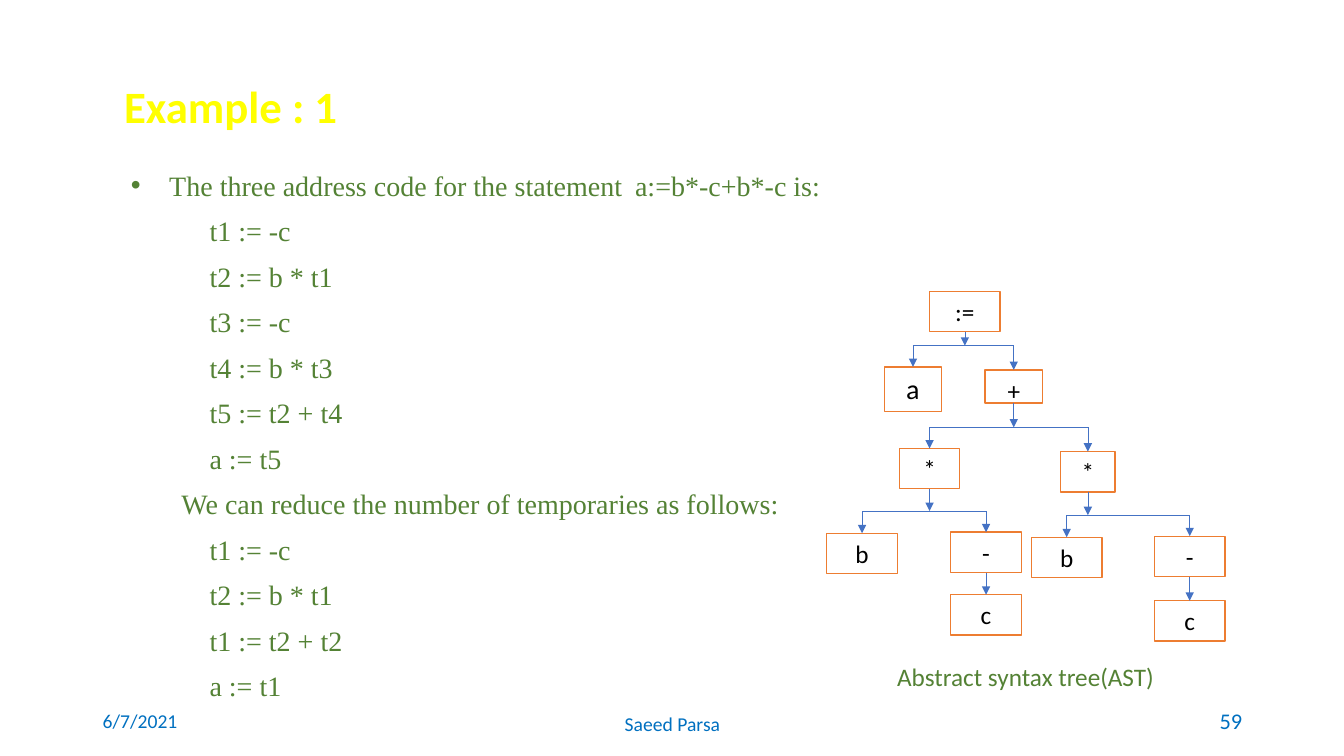
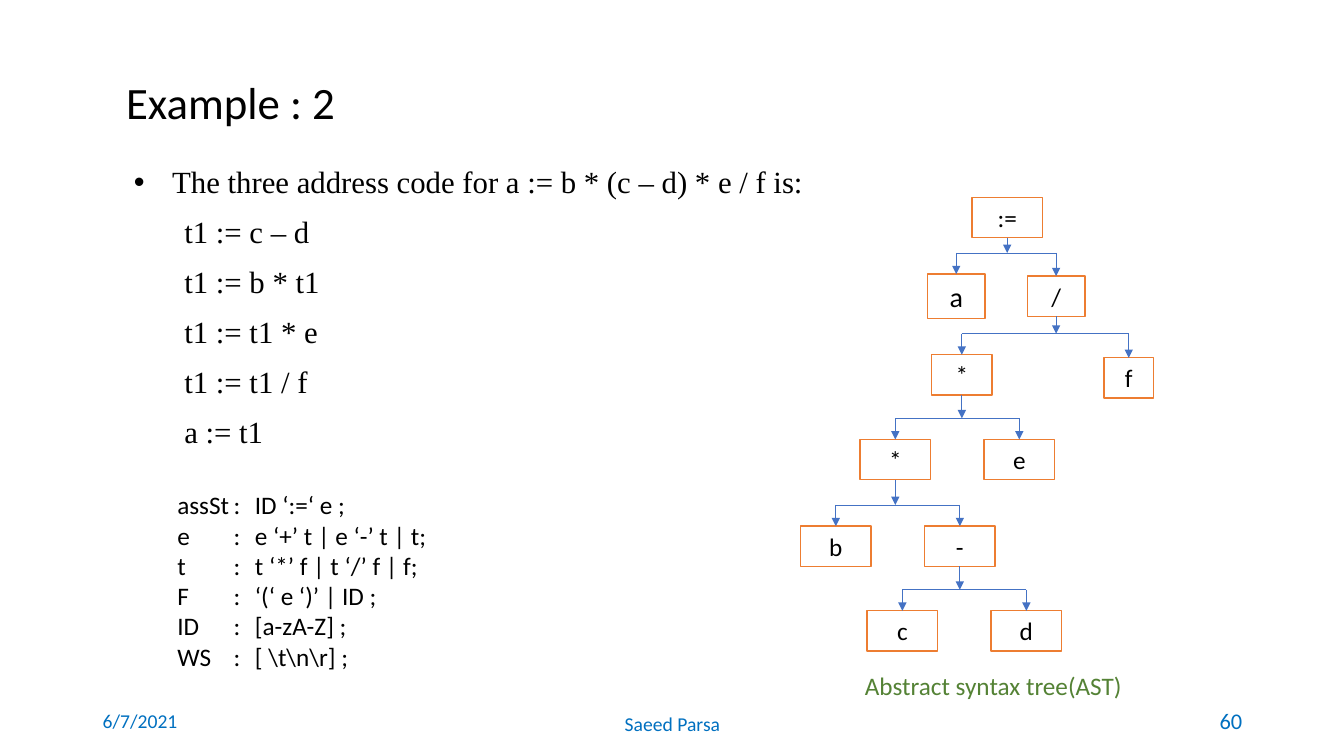
"""Build two slides on three address code with their syntax trees."""
from dataclasses import dataclass

from lxml.etree import SubElement
from pptx import Presentation
from pptx.dml.color import RGBColor
from pptx.enum.shapes import MSO_CONNECTOR, MSO_SHAPE
from pptx.enum.text import MSO_ANCHOR, MSO_AUTO_SIZE, PP_ALIGN
from pptx.oxml.ns import qn
from pptx.util import Inches, Pt


@dataclass(frozen=True)
class Theme:
    font: str = "Calibri"
    code_font: str = "Times New Roman"
    black: str = "000000"
    white: str = "FFFFFF"
    green: str = "548235"
    yellow: str = "FFFF00"
    lime: str = "92D050"
    blue: str = "0070C0"
    edge: str = "4472C4"
    border: str = "ED7D31"
    title: int = 32
    text: int = 18
    leaf: int = 20
    footer: int = 14
    number: int = 16


@dataclass(frozen=True)
class Node:
    text: str
    left: float
    top: float
    children: tuple = ()
    width: float = 0.7
    height: float = 0.4
    size: int = Theme.text


T = Theme()
BAR_RISE = 0.21
BULLET, STATEMENT, REMARK = (0.38, -0.38), (0.78, 0), (0.5, 0)

TREE_1 = Node(":=", 9.22, 2.89, (
    Node("a", 8.77, 3.64, width=0.57, height=0.44, size=T.leaf),
    Node("+", 9.77, 3.67, (
        Node("*", 8.92, 4.45, (
            Node("b", 8.2, 5.29),
            Node("-", 9.43, 5.28, (Node("c", 9.43, 5.9),)),
        ), width=0.6),
        Node("*", 10.52, 4.48, (
            Node("b", 10.23, 5.33),
            Node("-", 11.45, 5.32, (Node("c", 11.45, 5.96),)),
        ), width=0.54),
    ), width=0.57, height=0.33),
))

TREE_2 = Node(":=", 9.64, 1.96, (
    Node("a", 9.2, 2.72, width=0.57, height=0.44, size=T.leaf),
    Node("/", 10.19, 2.74, (
        Node("*", 9.24, 3.52, (
            Node("*", 8.53, 4.36, (
                Node("b", 7.94, 5.22),
                Node("-", 9.17, 5.22, (
                    Node("c", 8.6, 6.06),
                    Node("d", 9.83, 6.06),
                )),
            )),
            Node("e", 9.76, 4.36),
        ), width=0.6),
        Node("f", 10.95, 3.55, width=0.49),
    ), width=0.57),
))

GRAMMAR = [
    "assSt\t:\tID ‘:=‘ e ;",
    "e\t:\te ‘+’ t | e ‘-’ t | t;",
    "t\t:\tt ‘*’ f | t ‘/’ f | f;",
    "F\t:\t‘(‘ e ‘)’ | ID ;",
    "ID\t:\t[a-zA-Z] ;",
    "WS\t:\t[ \\t\\n\\r] ;",
]

SLIDES = [
    {
        "title": "Example : 1", "title_at": (1.13, 0.79, 9.44, 0.58),
        "title_format": {"color": T.yellow, "bold": True, "outline": T.lime},
        "body_at": (1.2, 1.52, 7.15, 5.31),
        "body_format": {"size": 20, "color": T.green},
        "body": [
            ("The three address code for the statement \ta:=b*-c+b*-c is:", BULLET),
            ("t1 := -c", STATEMENT),
            ("t2 := b * t1", STATEMENT),
            ("t3 := -c", STATEMENT),
            ("t4 := b * t3", STATEMENT),
            ("t5 := t2 + t4", STATEMENT),
            ("a := t5", STATEMENT),
            ("We can reduce the number of temporaries as follows:", REMARK),
            ("t1 := -c", STATEMENT),
            ("t2 := b * t1", STATEMENT),
            ("t1 := t2 + t2", STATEMENT),
            ("a := t1", STATEMENT),
        ],
        "tree": TREE_1, "caption_at": (8.8, 6.51, 3.07, 0.4), "number": "59",
    },
    {
        "title": "Example : 2", "title_at": (1.15, 0.75, 9.44, 0.58),
        "title_format": {},
        "body_at": (1.23, 1.46, 6.83, 3.42),
        "body_format": {"size": 22},
        "body": [
            ("The three address code for a := b * (c – d) * e / f is:", BULLET),
            ("t1 := c – d", REMARK),
            ("t1 := b * t1", REMARK),
            ("t1 := t1 * e", REMARK),
            ("t1 := t1 / f", REMARK),
            ("a := t1", REMARK),
        ],
        "tree": TREE_2, "caption_at": (8.48, 6.6, 3.07, 0.4), "number": "60",
        "grammar_at": (1.66, 4.81, 3.62, 1.92),
    },
]


def rgb(color):
    """Return a colour object for a hex string."""
    return RGBColor.from_string(color)


def write(sp, lines, size=T.text, color=T.black, font=T.font, bold=False,
          align=PP_ALIGN.LEFT, anchor=MSO_ANCHOR.TOP, spacing=None, before=0,
          tabs=(), outline=None):
    """Fill a shape with lines, each a string or a (string, indent) pair."""
    tf = sp.text_frame
    tf.word_wrap = True
    tf.auto_size = MSO_AUTO_SIZE.NONE
    tf.vertical_anchor = anchor
    for i, line in enumerate(lines):
        text, indent = line if isinstance(line, tuple) else (line, None)
        p = tf.paragraphs[0] if i == 0 else tf.add_paragraph()
        p.alignment = align
        if spacing:
            p.line_spacing = spacing
        if before and i:
            p.space_before = Pt(before)
        pPr = p._p.get_or_add_pPr()
        if indent:
            pPr.set("marL", str(Inches(indent[0])))
            pPr.set("indent", str(Inches(indent[1])))
        if indent == BULLET:
            SubElement(pPr, qn("a:buFont"), typeface="Arial")
            SubElement(pPr, qn("a:buChar"), char="•")
        if tabs:
            stops = SubElement(pPr, qn("a:tabLst"))
            for stop in tabs:
                SubElement(stops, qn("a:tab"), pos=str(Inches(stop)), algn="l")
        r = p.add_run()
        r.text = text
        r.font.size, r.font.name, r.font.bold = Pt(size), font, bold
        r.font.color.rgb = rgb(color)
        if outline:
            rPr = r._r.get_or_add_rPr()
            ln = SubElement(rPr, qn("a:ln"), w=str(Pt(1.75)))
            fill = SubElement(ln, qn("a:solidFill"))
            SubElement(fill, qn("a:srgbClr"), val=outline)
            rPr.insert(0, ln)


def add_text(s, at, lines, **fmt):
    """Add a text box."""
    write(s.shapes.add_textbox(*map(Inches, at)), lines, **fmt)


def add_line(s, start, end, begin=None, finish=None, arrow=True):
    """Add a line, joined to the bottom of begin and the top of finish."""
    line = s.shapes.add_connector(MSO_CONNECTOR.STRAIGHT, *start, *end)
    if begin is not None:
        line.begin_connect(begin, 2)
    if finish is not None:
        line.end_connect(finish, 0)
    line.line.color.rgb = rgb(T.edge)
    line.line.width = Pt(0.5)
    if arrow:
        SubElement(line.line._get_or_add_ln(), qn("a:tailEnd"), type="triangle")
    SubElement(line._element.spPr, qn("a:effectLst"))


def top_middle(sp):
    """Return the middle of a shape's top side."""
    return sp.left + sp.width // 2, sp.top


def draw_tree(s, node):
    """Draw a node, its subtrees and the arrows between them."""
    sp = s.shapes.add_shape(MSO_SHAPE.RECTANGLE, *map(
        Inches, (node.left, node.top, node.width, node.height)))
    sp.shadow.inherit = False
    sp.fill.solid()
    sp.fill.fore_color.rgb = rgb(T.white)
    sp.line.color.rgb = rgb(T.border)
    sp.line.width = Pt(1)
    write(sp, [node.text], size=node.size, align=PP_ALIGN.CENTER)

    kids = [draw_tree(s, child) for child in node.children]
    x, y = top_middle(sp)
    bottom = (x, y + sp.height)
    if len(kids) == 1:
        add_line(s, bottom, top_middle(kids[0]), sp, kids[0])
    elif kids:
        bar = min(kid.top for kid in kids) - Inches(BAR_RISE)
        ends = [top_middle(kid)[0] for kid in kids]
        add_line(s, bottom, (x, bar), begin=sp)
        add_line(s, (ends[0], bar), (ends[-1], bar), arrow=False)
        for kid, end in zip(kids, ends):
            add_line(s, (end, bar), top_middle(kid), finish=kid)
    return sp


def add_footer(s, number):
    """Add the date, author and slide number."""
    for text, at, align, size in (
        ("6/7/2021", (0.92, 6.95, 3, 0.4), PP_ALIGN.LEFT, T.footer),
        ("Saeed Parsa", (3.92, 6.95, 5.5, 0.45), PP_ALIGN.CENTER, T.footer),
        (number, (9.42, 6.95, 3, 0.4), PP_ALIGN.RIGHT, T.number),
    ):
        add_text(s, at, [text], size=size, color=T.blue, align=align,
                 anchor=MSO_ANCHOR.MIDDLE)


def add_slide(prs, data):
    """Build one example slide."""
    s = prs.slides.add_slide(prs.slide_layouts[5])
    title = s.shapes.title
    title.left, title.top, title.width, title.height = map(Inches, data["title_at"])
    write(title, [data["title"]], size=T.title, spacing=0.9,
          anchor=MSO_ANCHOR.MIDDLE, **data["title_format"])
    add_text(s, data["body_at"], data["body"], font=T.code_font, spacing=1.3,
             before=1.3, **data["body_format"])
    draw_tree(s, data["tree"])
    add_text(s, data["caption_at"], ["Abstract syntax tree(AST)"], color=T.green)
    if "grammar_at" in data:
        add_text(s, data["grammar_at"], GRAMMAR, tabs=(0.56, 0.77))
    add_footer(s, data["number"])


def main():
    """Build and save the presentation."""
    prs = Presentation()
    prs.slide_width, prs.slide_height = Inches(13.33), Inches(7.5)
    for data in SLIDES:
        add_slide(prs, data)
    prs.save("out.pptx")


if __name__ == "__main__":
    main()
